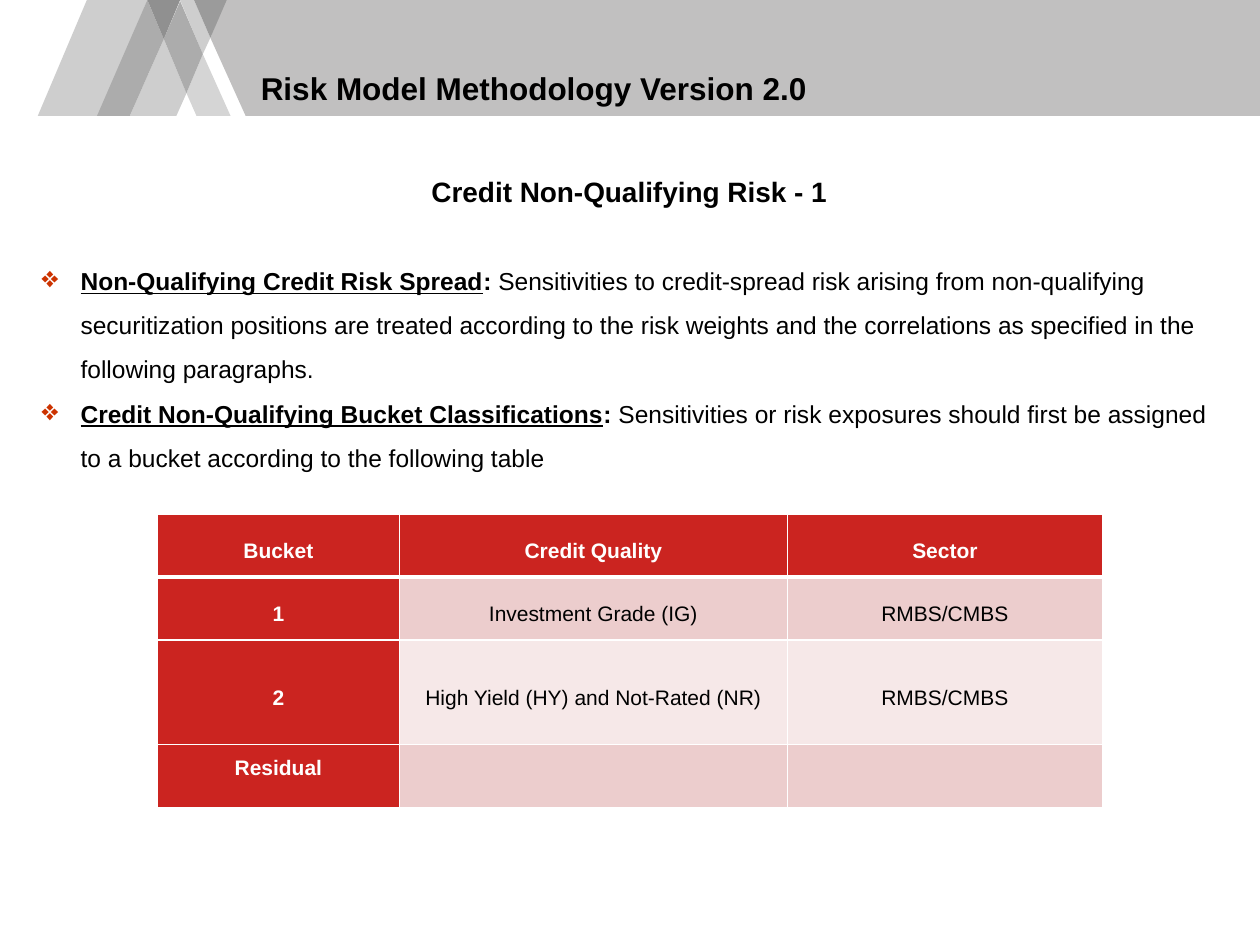
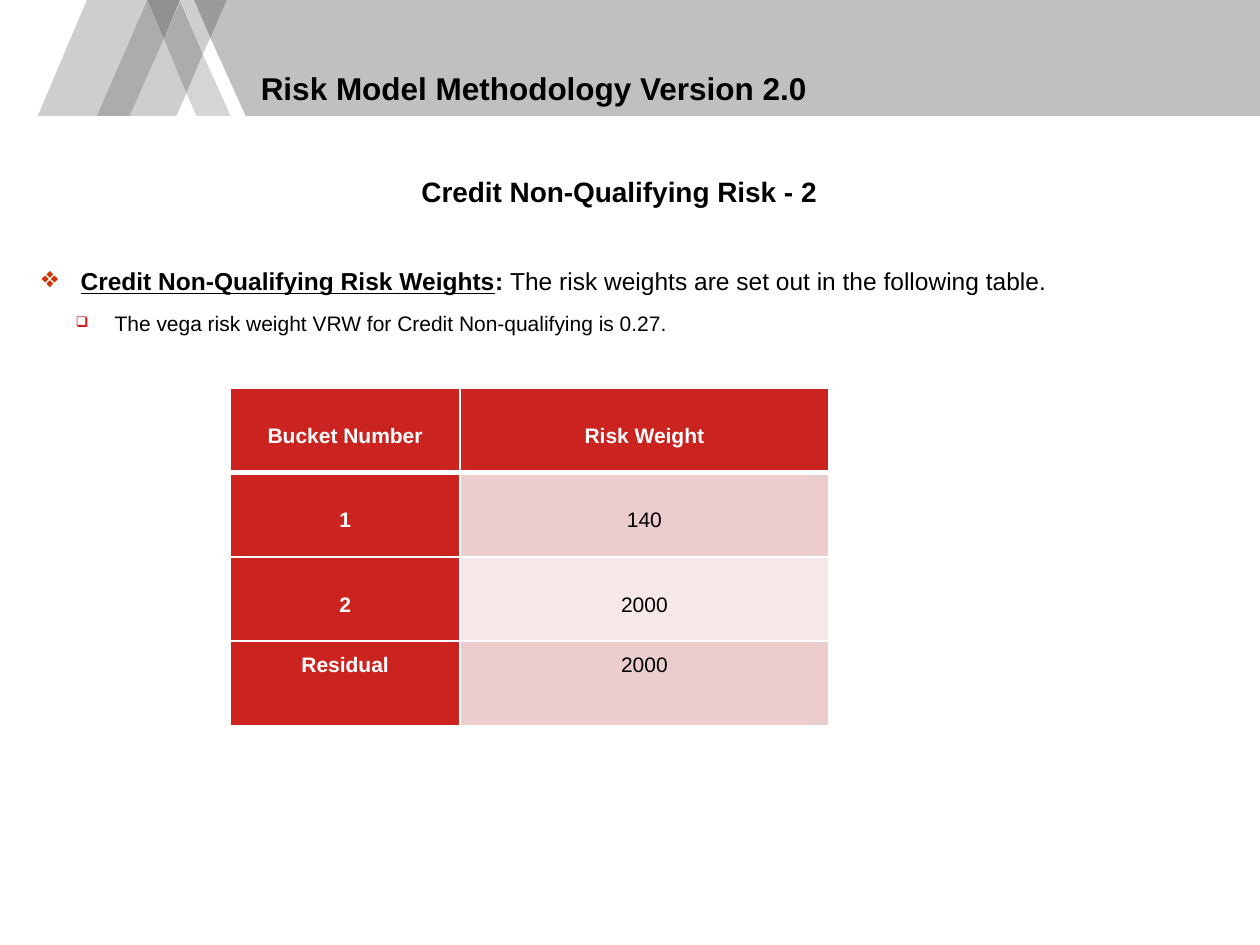
import pptx
import pptx.util
import pptx.dml.color
import pptx.enum.text
from dataclasses import dataclass
from lxml import etree

Inches = pptx.util.Inches
Pt = pptx.util.Pt
Align = pptx.enum.text.PP_ALIGN
Anchor = pptx.enum.text.MSO_ANCHOR
DRAWING_NS = "http://schemas.openxmlformats.org/drawingml/2006/main"


@dataclass(frozen=True)
class Theme:
    font: str = "Arial"
    black: str = "000000"
    white: str = "FFFFFF"
    red: str = "CB2420"
    orange: str = "CC3300"
    pink: str = "ECCDCD"
    pale_pink: str = "F6E8E8"
    title_size: int = 18
    heading_size: int = 16
    body_size: int = 14
    small_size: int = 12


THEME = Theme()

# Banner pieces from back to front: colour and corner points in inches
BANNER = [
    ("C1C0C0", [(1.67, 0.3), (1.95, 0.92), (10, 0.92), (10, 0), (1.79, 0)]),
    ("D5D5D5", [(1.61, 0.43), (1.48, 0.74), (1.56, 0.92), (1.83, 0.92)]),
    ("CECECE", [(1.54, 0), (1.43, 0), (1.61, 0.43), (1.67, 0.3)]),
    ("CECECE", [(1.3, 0.31), (1.03, 0.92), (1.4, 0.92), (1.48, 0.74)]),
    ("CECECE", [(1.17, 0), (0.69, 0), (0.3, 0.92), (0.78, 0.92)]),
    ("9B9B9B", [(1.8, 0), (1.54, 0), (1.67, 0.3)]),
    ("ACACAC", [(1.43, 0.01), (1.3, 0.31), (1.48, 0.74), (1.61, 0.43)]),
    ("ACACAC", [(1.17, 0), (0.77, 0.92), (1.03, 0.92), (1.3, 0.31)]),
    ("909090", [(1.43, 0), (1.17, 0), (1.3, 0.31)]),
]


def rgb(colour):
    return pptx.dml.color.RGBColor.from_string(colour)


def add_child(parent, tag, **attributes):
    child = etree.SubElement(parent, f"{{{DRAWING_NS}}}{tag}")
    for name, value in attributes.items():
        child.set(name, str(value))
    return child


def add_span(para, text, size=THEME.body_size, colour=THEME.black, bold=False, underline=False):
    span = para.add_run()
    span.text = text
    span.font.name = THEME.font
    span.font.size = Pt(size)
    span.font.color.rgb = rgb(colour)
    span.font.bold = bold
    span.font.underline = underline


def add_box(page, left, top, width, height, anchor=Anchor.TOP):
    box = page.shapes.add_textbox(Inches(left), Inches(top), Inches(width), Inches(height))
    frame = box.text_frame
    frame.word_wrap = True
    frame.vertical_anchor = anchor
    frame.margin_left = frame.margin_top = frame.margin_right = frame.margin_bottom = 0
    return frame


def add_banner(page):
    for colour, points in BANNER:
        corners = [(Inches(x), Inches(y)) for x, y in points]
        builder = page.shapes.build_freeform(*corners[0])
        builder.add_line_segments(corners[1:], close=True)
        piece = builder.convert_to_shape()
        piece.shadow.inherit = False
        piece.fill.solid()
        piece.fill.fore_color.rgb = rgb(colour)
        piece.line.fill.background()


def add_title(page, text):
    para = add_box(page, 2.07, 0.06, 6.07, 0.79, Anchor.BOTTOM).paragraphs[0]
    para.line_spacing = 1.2
    add_span(para, text, size=THEME.title_size, bold=True)


def add_body(page, heading, width, height):
    frame = add_box(page, 0.33, 1.25, width, height)
    para = frame.paragraphs[0]
    para.alignment = Align.CENTER
    para.line_spacing = 1.5
    para.space_after = Pt(25)
    add_span(para, heading, size=THEME.heading_size, bold=True)
    return frame


def add_bullet(frame, symbol, colour, indent, size_percent):
    para = frame.add_paragraph()
    para.line_spacing = 1.5
    properties = para._p.get_or_add_pPr()
    properties.set("marL", str(Inches(indent)))
    properties.set("indent", str(Inches(-0.31)))
    add_child(add_child(properties, "buClr"), "srgbClr", val=colour)
    add_child(properties, "buSzPct", val=size_percent * 1000)
    add_child(properties, "buChar", char=symbol)
    return para


def add_topic(frame, term, text):
    para = add_bullet(frame, "❖", THEME.orange, 0.31, size_percent=120)
    add_span(para, term, bold=True, underline=True)
    add_span(para, ": ", bold=True)
    add_span(para, text)


def add_detail(frame, text):
    para = add_bullet(frame, "❑", THEME.red, 0.58, size_percent=70)
    para.level = 1
    para.space_before = Pt(1.5)
    add_span(para, text, size=THEME.small_size)


def set_borders(cell, top, bottom):
    properties = cell._tc.get_or_add_tcPr()
    for tag, width in (("lnL", 1), ("lnR", 1), ("lnT", top), ("lnB", bottom)):
        line = add_child(properties, tag, w=Pt(width))
        add_child(add_child(line, "solidFill"), "srgbClr", val=THEME.white)


def format_cell(cell, text, row, column, last_row):
    is_header = row == 0
    is_label = is_header or column == 0
    set_borders(cell, top=3 if row == 1 else 1, bottom=3 if is_header else 1)
    cell.fill.solid()
    band = THEME.pink if row % 2 else THEME.pale_pink
    cell.fill.fore_color.rgb = rgb(THEME.red if is_label else band)
    cell.margin_left = cell.margin_right = Inches(0.07)
    cell.margin_top = cell.margin_bottom = 0
    cell.vertical_anchor = Anchor.TOP if row == last_row else Anchor.MIDDLE
    if text:
        para = cell.text_frame.paragraphs[0]
        para.alignment = Align.CENTER
        para.line_spacing = 1.5
        para.space_after = Pt(10)
        add_span(para, text, size=THEME.small_size, bold=is_label,
                 colour=THEME.white if is_label else THEME.black)


def add_grid(page, left, top, widths, heights, rows):
    table = page.shapes.add_table(
        len(rows), len(widths), Inches(left), Inches(top),
        Inches(sum(widths)), Inches(sum(heights))).table
    table.first_row = table.horz_banding = False
    for column, width in zip(table.columns, widths):
        column.width = Inches(width)
    for row, height in zip(table.rows, heights):
        row.height = Inches(height)
    for r, texts in enumerate(rows):
        for c, text in enumerate(texts):
            format_cell(table.cell(r, c), text, r, c, len(rows) - 1)


def add_page(deck):
    page = deck.slides.add_slide(deck.slide_layouts[6])
    add_banner(page)
    add_title(page, "Risk Model Methodology Version 2.0")
    return page


def build_buckets(deck):
    page = add_page(deck)
    body = add_body(page, "Credit Non-Qualifying Risk - 1", 9.33, 2.58)
    add_topic(body, "Non-Qualifying Credit Risk Spread",
              "Sensitivities to credit-spread risk arising from non-qualifying securitization "
              "positions are treated according to the risk weights and the correlations as "
              "specified in the following paragraphs.")
    add_topic(body, "Credit Non-Qualifying Bucket Classifications",
              "Sensitivities or risk exposures should first be assigned to a bucket according "
              "to the following table")
    add_grid(page, 1.25, 4.08, [1.92, 3.08, 2.5], [0.5, 0.5, 0.83, 0.5], [
        ["Bucket", "Credit Quality", "Sector"],
        ["1", "Investment Grade (IG)", "RMBS/CMBS"],
        ["2", "High Yield (HY) and Not-Rated (NR)", "RMBS/CMBS"],
        ["Residual", "", ""],
    ])


def build_weights(deck):
    page = add_page(deck)
    body = add_body(page, "Credit Non-Qualifying Risk - 2", 9.17, 1.58)
    add_topic(body, "Credit Non-Qualifying Risk Weights",
              "The risk weights are set out in the following table.")
    add_detail(body, "The vega risk weight VRW for Credit Non-qualifying is 0.27.")
    add_grid(page, 1.83, 3.08, [1.82, 2.93], [0.67] * 4, [
        ["Bucket Number", "Risk Weight"],
        ["1", "140"],
        ["2", "2000"],
        ["Residual", "2000"],
    ])


def main():
    deck = pptx.Presentation()
    deck.slide_width = Inches(10)
    deck.slide_height = Inches(7.5)
    build_buckets(deck)
    build_weights(deck)
    deck.save("out.pptx")


if __name__ == "__main__":
    main()
